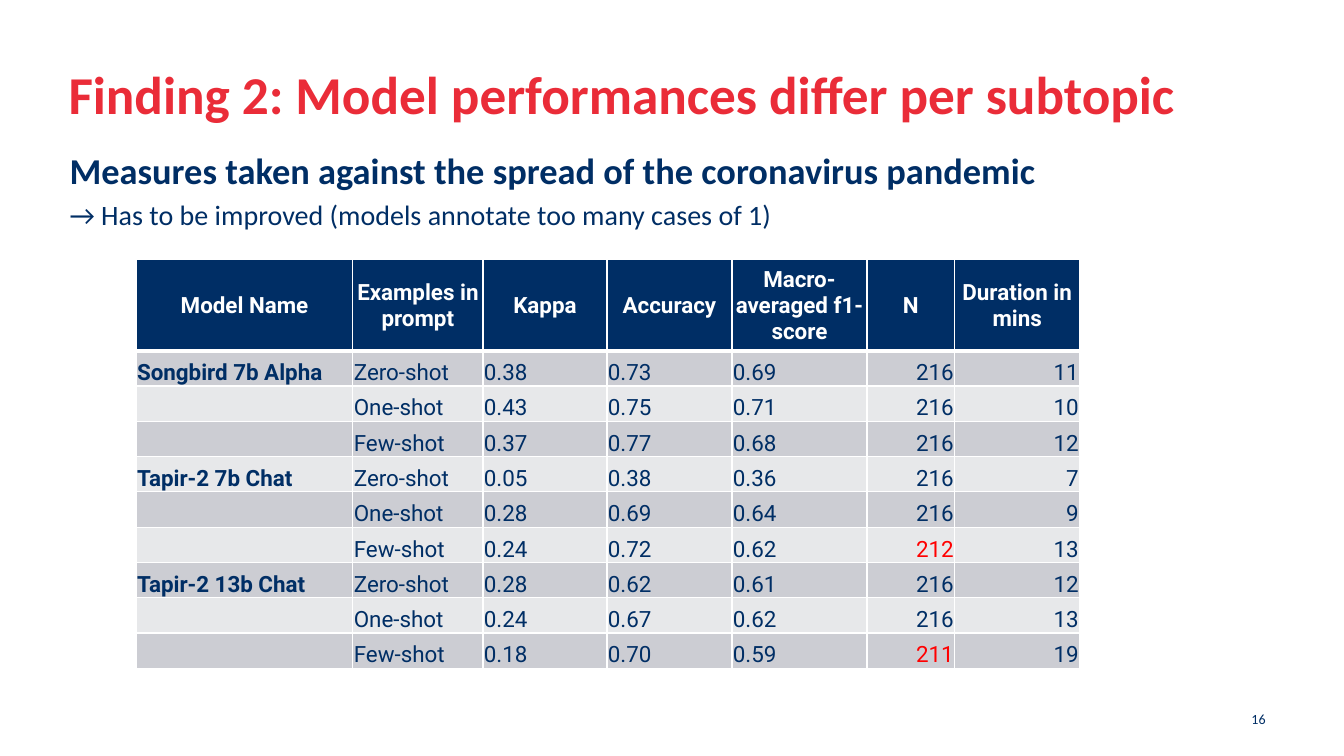
"""Build the slide comparing model performance on the pandemic measures subtopic."""
import dataclasses

import lxml.etree
import pptx
import pptx.dml.color
import pptx.enum.text
import pptx.oxml.ns
import pptx.util

Inches = pptx.util.Inches
Pt = pptx.util.Pt
Align = pptx.enum.text.PP_ALIGN
Anchor = pptx.enum.text.MSO_ANCHOR
qn = pptx.oxml.ns.qn


@dataclasses.dataclass(frozen=True)
class Theme:
    red: str = "EA2C38"
    navy: str = "002E65"
    white: str = "FFFFFF"
    alert: str = "FF0000"
    bands: tuple = ("CCCDD3", "E7E8EA")
    text_font: str = "Calibri"
    table_font: str = "Roboto"
    title_size: int = 38
    subtitle_size: int = 26
    note_size: int = 20
    table_size: int = 16
    number_size: int = 10


theme = Theme()


def write(paragraph, text, size, color, bold=False, font=theme.text_font, align=Align.LEFT):
    paragraph.text = text
    paragraph.alignment = align
    for run in paragraph.runs:
        run.font.name = font
        run.font.size = Pt(size)
        run.font.bold = bold
        run.font.color.rgb = pptx.dml.color.RGBColor.from_string(color)


def add_frame(slide, left, top, width, height, margin=0):
    frame = slide.shapes.add_textbox(Inches(left), Inches(top), Inches(width), Inches(height)).text_frame
    frame.word_wrap = True
    frame.margin_left = frame.margin_right = Inches(margin)
    frame.margin_top = frame.margin_bottom = Inches(margin / 2)
    return frame


deck = pptx.Presentation()
deck.slide_width, deck.slide_height = Inches(13.33), Inches(7.5)
slide = deck.slides.add_slide(deck.slide_layouts[6])

title = add_frame(slide, 0.68, 0.61, 11.97, 0.87)
write(title.paragraphs[0], "Finding 2: Model performances differ per subtopic",
      theme.title_size, theme.red, bold=True)

page_number = add_frame(slide, 9.76, 6.93, 2.89, 0.4, margin=0.1)
page_number.vertical_anchor = Anchor.MIDDLE
write(page_number.paragraphs[0], "16", theme.number_size, theme.navy, align=Align.RIGHT)
page_number.paragraphs[0].space_after = Pt(6)

subtopic = add_frame(slide, 0.69, 1.47, 11.96, 0.97)
write(subtopic.paragraphs[0], "Measures taken against the spread of the coronavirus pandemic",
      theme.subtitle_size, theme.navy, bold=True)
conclusion = subtopic.add_paragraph()
write(conclusion, "→ Has to be improved (models annotate too many cases of 1)",
      theme.note_size, theme.navy)
conclusion.space_before = Pt(4)

headings = ["Model Name", "Examples in prompt", "Kappa", "Accuracy",
            "Macro-averaged f1- score", "N", "Duration in mins"]
scores = {
    "Songbird 7b Alpha": [("0.38", "0.73", "0.69", "216", "11"),
                          ("0.43", "0.75", "0.71", "216", "10"),
                          ("0.37", "0.77", "0.68", "216", "12")],
    "Tapir-2 7b Chat": [("0.05", "0.38", "0.36", "216", "7"),
                        ("0.28", "0.69", "0.64", "216", "9"),
                        ("0.24", "0.72", "0.62", "212", "13")],
    "Tapir-2 13b Chat": [("0.28", "0.62", "0.61", "216", "12"),
                         ("0.24", "0.67", "0.62", "216", "13"),
                         ("0.18", "0.70", "0.59", "211", "19")],
}
prompts = ["Zero-shot", "One-shot", "Few-shot"]
rows = [headings]
for model, results in scores.items():
    for index, (prompt, result) in enumerate(zip(prompts, results)):
        rows.append([model if index == 0 else "", prompt, *result])

column_widths = [2.15, 1.29, 1.23, 1.24, 1.34, 0.87, 1.24]
name_column, n_column = 0, 5
full_sample = "216"
performance = slide.shapes.add_table(len(rows), len(headings), Inches(1.35), Inches(2.57),
                                     Inches(9.35), Inches(4.07)).table
performance.horz_banding = False
for column, width in zip(performance.columns, column_widths):
    column.width = Inches(width)

for row_index, values in enumerate(rows):
    is_header = row_index == 0
    performance.rows[row_index].height = Inches(0.91 if is_header else 0.35)
    background = theme.navy if is_header else theme.bands[(row_index - 1) % 2]
    for column_index, value in enumerate(values):
        cell = performance.cell(row_index, column_index)
        cell.margin_left = cell.margin_right = cell.margin_top = Inches(0.01)
        cell.margin_bottom = 0
        cell.vertical_anchor = Anchor.MIDDLE if is_header else Anchor.BOTTOM
        if is_header:
            color, align = theme.white, Align.CENTER
        else:
            incomplete = column_index == n_column and value != full_sample
            color = theme.alert if incomplete else theme.navy
            align = Align.RIGHT if column_index >= n_column else Align.LEFT
        write(cell.text_frame.paragraphs[0], value, theme.table_size, color,
              bold=is_header or column_index == name_column, font=theme.table_font, align=align)

        properties = cell._tc.get_or_add_tcPr()
        for side in ("lnL", "lnR", "lnT", "lnB"):
            under_header = (is_header and side == "lnB") or (row_index == 1 and side == "lnT")
            border = lxml.etree.SubElement(properties, qn(f"a:{side}"), w=str(Pt(3 if under_header else 1)))
            paint = lxml.etree.SubElement(border, qn("a:solidFill"))
            lxml.etree.SubElement(paint, qn("a:srgbClr"), val=theme.white)
        cell.fill.solid()
        cell.fill.fore_color.rgb = pptx.dml.color.RGBColor.from_string(background)

deck.save("out.pptx")
